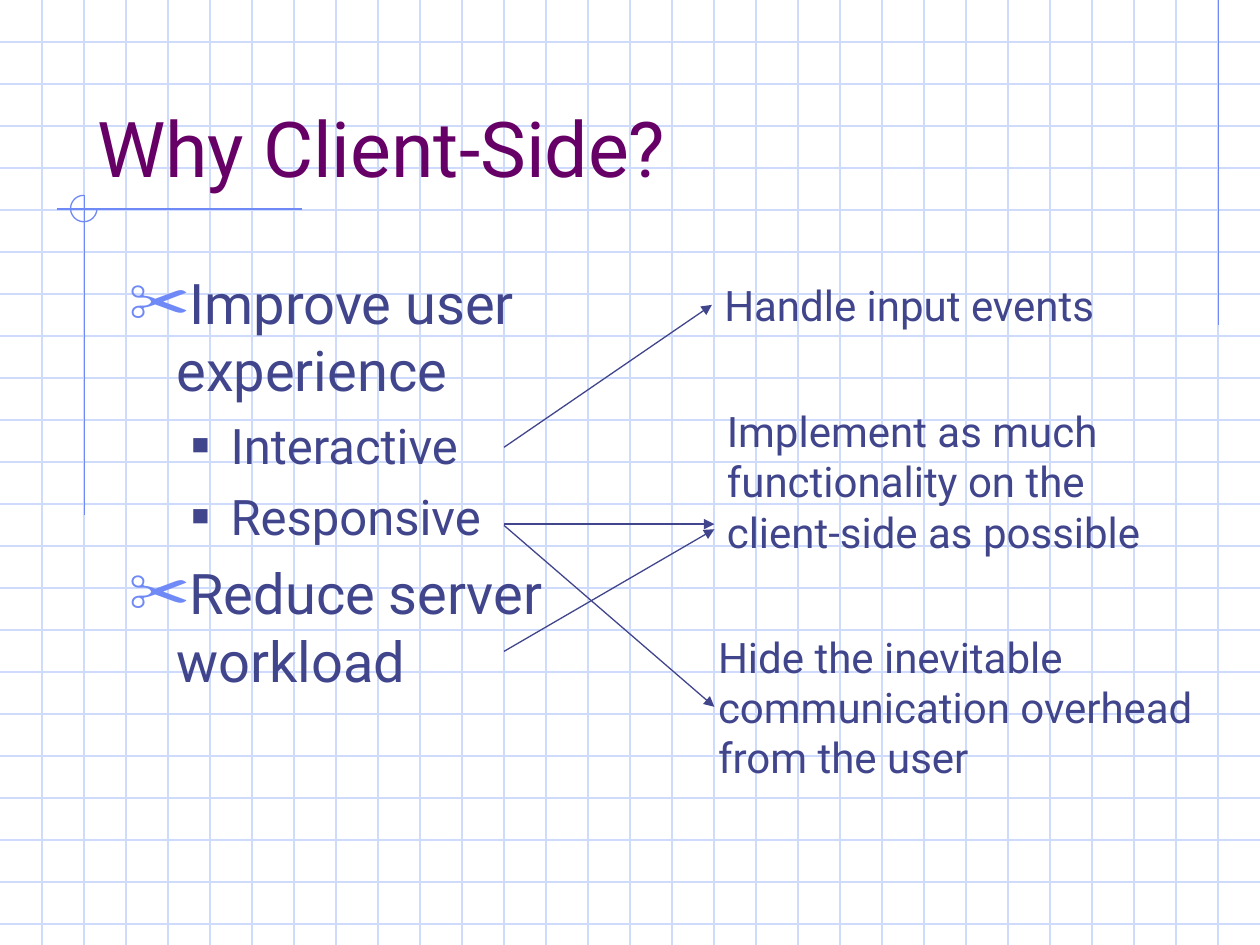
from lxml import etree
from pptx import Presentation
from pptx.dml.color import RGBColor
from pptx.enum.shapes import MSO_CONNECTOR, MSO_SHAPE
from pptx.enum.text import MSO_ANCHOR, MSO_AUTO_SIZE, PP_ALIGN
from pptx.oxml.ns import qn
from pptx.util import Inches, Pt

STRAIGHT = MSO_CONNECTOR.STRAIGHT
LEFT = PP_ALIGN.LEFT
COLORS = {"grid": "CFDBFD", "accent": "6F89F7", "title": "660066", "text": "40458C"}
FONT = "Roboto"


def add_line(x1, y1, x2, y2, color, arrow=False):
    c = s.shapes.add_connector(STRAIGHT, Inches(x1), Inches(y1), Inches(x2), Inches(y2))
    c.line.color.rgb = RGBColor.from_string(COLORS[color])
    c.line.width = Pt(0.75)
    sp_pr = c.element.spPr
    if arrow:
        etree.SubElement(sp_pr.find(qn("a:ln")), qn("a:tailEnd"), type="triangle")
    etree.SubElement(sp_pr, qn("a:effectLst"))
    return c


def add_text(p, text, size, color):
    p.alignment = LEFT
    r = p.add_run()
    r.text = text
    r.font.name = FONT
    r.font.size = Pt(size)
    r.font.color.rgb = RGBColor.from_string(COLORS[color])


prs = Presentation()
prs.slide_width, prs.slide_height = Inches(10), Inches(7.5)
s = prs.slides.add_slide(prs.slide_layouts[1])
title, body = s.placeholders

# Graph paper, three squares to the inch
for i in range(1, 23):
    add_line(0, i / 3, 10, i / 3, "grid")
for i in range(1, 30):
    add_line(i / 3, 0, i / 3, 7.5, "grid")

# Corner ornament
add_line(9.67, 0, 9.67, 2.58, "accent")
add_line(2.4, 1.66, 0.45, 1.66, "accent")
add_line(0.67, 1.55, 0.67, 4.09, "accent")
arc = s.shapes.add_shape(MSO_SHAPE.ARC, Inches(0.56), Inches(1.55), Inches(0.21), Inches(0.21))
arc.adjustments[0], arc.adjustments[1] = 0, 162  # from 0 to 270 degrees
arc.shadow.inherit = False
arc.fill.background()
arc.line.color.rgb = RGBColor.from_string(COLORS["accent"])
arc.line.width = Pt(0.75)

# Title and list, brought in front of the graph paper
for sp, box, anchor in [
    (title, (0.67, 0.33, 8.5, 1.25), MSO_ANCHOR.BOTTOM),
    (body, (0.92, 2.08, 4, 4.5), MSO_ANCHOR.TOP),
]:
    sp.element.getparent().append(sp.element)
    sp.left, sp.top, sp.width, sp.height = map(Inches, box)
    sp.text_frame.auto_size = MSO_AUTO_SIZE.NONE
    sp.text_frame.vertical_anchor = anchor

add_text(title.text_frame.paragraphs[0], "Why Client-Side?", 44, "title")

LEVELS = [
    {"size": 32, "before": 8, "margin": 0.38, "indent": -0.38,
     "bullet": "✂", "bullet_color": "accent", "bullet_size": 110},
    {"size": 28, "before": 7, "margin": 0.81, "indent": -0.31,
     "bullet": "■", "bullet_color": "text", "bullet_size": 60},
]
reasons = [
    (0, "Improve user experience"),
    (1, "Interactive"),
    (1, "Responsive"),
    (0, "Reduce server workload"),
]
tf = body.text_frame
for i, (level, text) in enumerate(reasons):
    fmt = LEVELS[level]
    p = tf.add_paragraph() if i else tf.paragraphs[0]
    p.level = level
    p.space_before = Pt(fmt["before"] if i else 0)
    pPr = p._p.get_or_add_pPr()
    pPr.set("marL", str(Inches(fmt["margin"])))
    pPr.set("indent", str(Inches(fmt["indent"])))
    bu_clr = etree.SubElement(pPr, qn("a:buClr"))
    etree.SubElement(bu_clr, qn("a:srgbClr"), val=COLORS[fmt["bullet_color"]])
    etree.SubElement(pPr, qn("a:buSzPct"), val=str(fmt["bullet_size"] * 1000))
    etree.SubElement(pPr, qn("a:buChar"), char=fmt["bullet"])
    add_text(p, text, fmt["size"], "text")

# What each reason leads to
tasks = [
    ((5.65, 2.17, 3.34, 0.5), ["Handle input events"]),
    ((5.67, 3.17, 3.6, 1.3),
     ["Implement as much", "functionality on the", "client-side as possible"]),
    ((5.6, 4.96, 4.21, 1.3),
     ["Hide the inevitable", "communication overhead", "from the user"]),
]
task_boxes = []
for box, lines in tasks:
    sp = s.shapes.add_textbox(*map(Inches, box))
    tf = sp.text_frame
    tf.word_wrap = False
    tf.auto_size = MSO_AUTO_SIZE.SHAPE_TO_FIT_TEXT
    for i, text in enumerate(lines):
        add_text(tf.add_paragraph() if i else tf.paragraphs[0], text, 24, "text")
    task_boxes.append(sp)

interactive = add_line(4, 3.55, 5.67, 2.42, "text", arrow=True)
interactive.end_connect(task_boxes[0], 1)
for y1, y2 in [(4.16, 4.16), (5.17, 4.2), (4.17, 5.61)]:
    add_line(4, y1, 5.67, y2, "text", arrow=True)

prs.save("out.pptx")
